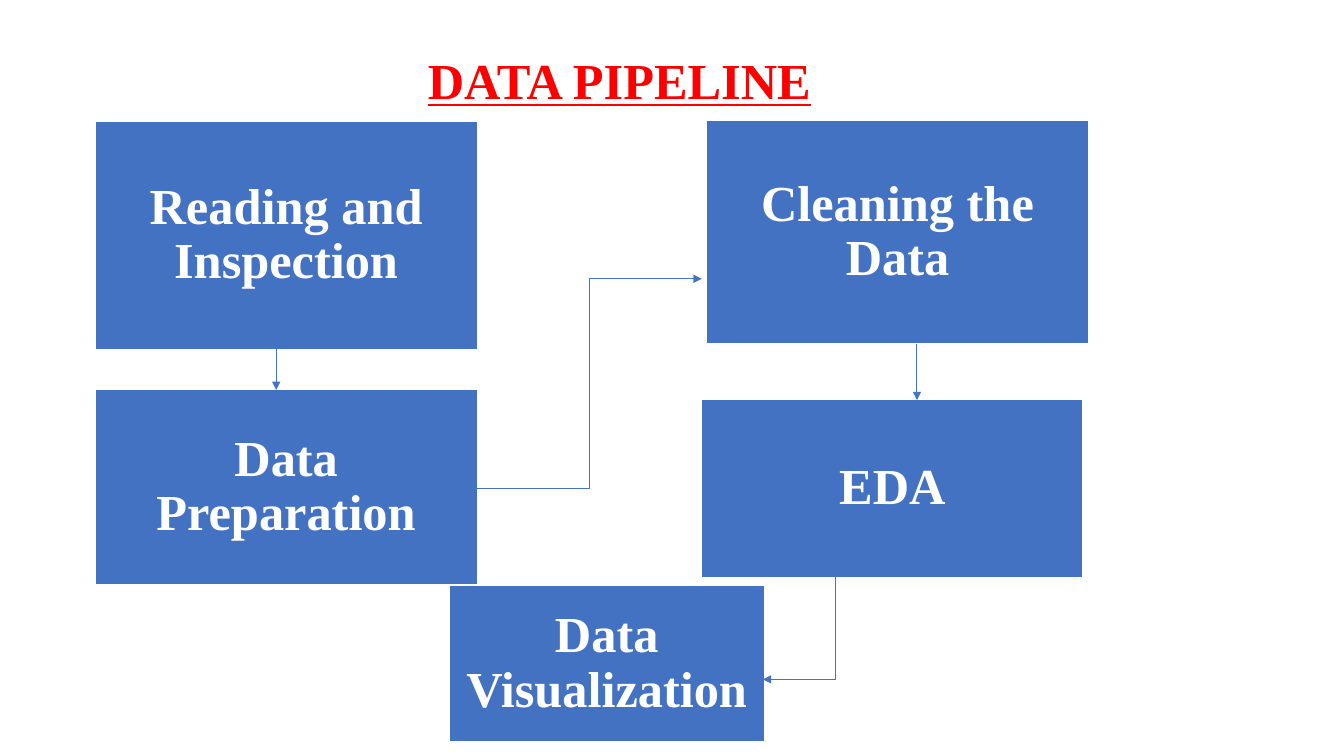
from lxml import etree
from pptx import Presentation
from pptx.dml.color import RGBColor
from pptx.enum.shapes import MSO_CONNECTOR, MSO_SHAPE
from pptx.enum.text import MSO_ANCHOR, PP_ALIGN
from pptx.oxml.ns import qn
from pptx.util import Pt

RECT = MSO_SHAPE.RECTANGLE
STRAIGHT, ELBOW = MSO_CONNECTOR.STRAIGHT, MSO_CONNECTOR.ELBOW
MIDDLE = MSO_ANCHOR.MIDDLE
LEFT, CENTER = PP_ALIGN.LEFT, PP_ALIGN.CENTER

FONT = "Times New Roman"
COLORS = {"title": "FF0000", "box": "4372C3", "arrow": "4472C4", "white": "FFFFFF"}

STEPS = [
    ("Reading and Inspection", (67.9, 86.4, 273, 163.4)),
    ("Cleaning the Data", (504.6, 85.9, 273, 159.5)),
    ("Data Preparation", (67.9, 278.2, 273, 139.5)),
    ("EDA", (501.3, 285.4, 272.3, 127.2)),
    ("Data Visualization", (320.6, 417.9, 225.6, 112.2)),
]
ARROWS = [
    (ELBOW, (340.6, 348.8), (501.3, 199.2)),
    (ELBOW, (649.2, 395.3), (545, 485.3)),
    (STRAIGHT, (197.3, 245.5), (197.3, 278.6)),
    (STRAIGHT, (655, 245.5), (655, 285.8)),
]


def color(name):
    return RGBColor.from_string(COLORS[name])


def set_text(tf, text, name, align, margin, spacing):
    tf.word_wrap = True
    tf.margin_left = tf.margin_right = Pt(margin)
    tf.margin_top = tf.margin_bottom = Pt(margin)
    tf.text = text
    p = tf.paragraphs[0]
    p.alignment = align
    p.line_spacing = spacing
    r = p.runs[0]
    r.font.name = FONT
    r.font.size = Pt(36)
    r.font.bold = True
    r.font.color.rgb = color(name)
    return r


def add_title(s, text, box):
    tf = s.shapes.add_textbox(*map(Pt, box)).text_frame
    set_text(tf, text, "title", LEFT, 0, 1).font.underline = True


def add_step(s, text, box):
    sp = s.shapes.add_shape(RECT, *map(Pt, box))
    sp.shadow.inherit = False
    sp.fill.solid()
    sp.fill.fore_color.rgb = color("box")
    sp.line.color.rgb = color("white")
    sp.line.width = Pt(1)
    sp.text_frame.vertical_anchor = MIDDLE
    set_text(sp.text_frame, text, "white", CENTER, 10.8, 0.9)


def add_arrow(s, kind, start, end):
    c = s.shapes.add_connector(kind, *map(Pt, start + end))
    c.line.color.rgb = color("arrow")
    c.line.width = Pt(0.75)
    sp_pr = c._element.spPr
    etree.SubElement(sp_pr.find(qn("a:ln")), qn("a:tailEnd"), type="triangle")
    etree.SubElement(sp_pr, qn("a:effectLst"))


def add_pipeline(s, box):
    x, y = box[:2]
    for text, (left, top, width, height) in STEPS:
        add_step(s, text, (x + left, y + top, width, height))
    for kind, start, end in ARROWS:
        add_arrow(s, kind, (x + start[0], y + start[1]), (x + end[0], y + end[1]))


def main():
    prs = Presentation()
    prs.slide_width, prs.slide_height = Pt(960), Pt(540)
    s = prs.slides.add_slide(prs.slide_layouts[6])
    add_title(s, "DATA PIPELINE", (305.6, 35, 300, 42))
    add_pipeline(s, (0, 0, 960, 540))
    prs.save("out.pptx")


if __name__ == "__main__":
    main()
